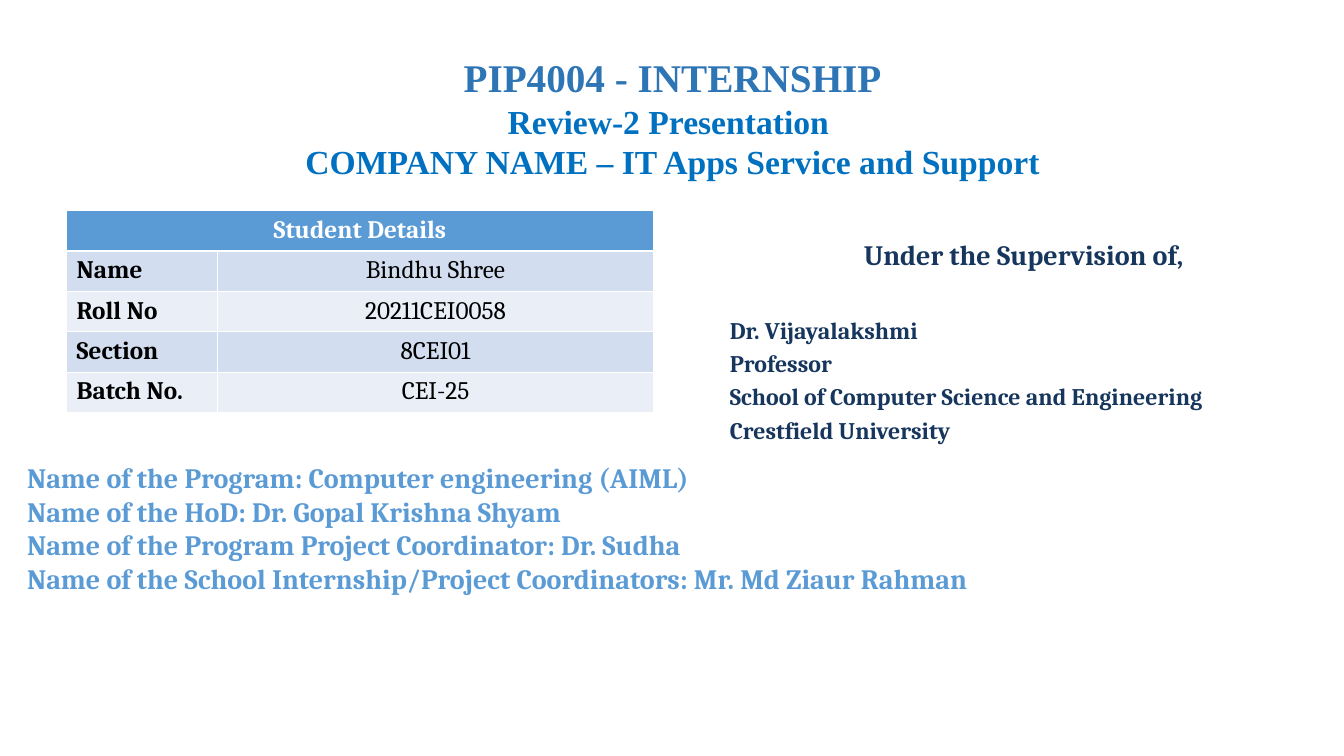
from dataclasses import dataclass

from pptx import Presentation
from pptx.dml.color import RGBColor
from pptx.enum.text import MSO_ANCHOR, MSO_AUTO_SIZE, PP_ALIGN
from pptx.shapes.autoshape import Shape
from pptx.slide import Slide
from pptx.text.text import TextFrame, _Paragraph
from pptx.util import Inches, Pt


@dataclass(frozen=True)
class Theme:
    title_font: str = "Times New Roman"
    body_font: str = "Cambria"
    title: str = "2E75B6"
    subtitle: str = "0070C0"
    navy: str = "17365D"
    accent: str = "5B9BD5"
    white: str = "FFFFFF"
    black: str = "000000"
    bands: tuple[str, str] = ("D2DEEF", "EAEFF7")
    title_size: int = 28
    subtitle_size: int = 24
    body_size: int = 20
    detail_size: int = 17
    table_size: int = 18


THEME = Theme()


@dataclass(frozen=True)
class Line:
    text: str
    size: float
    color: str
    font: str = THEME.body_font
    bold: bool = True
    align: PP_ALIGN = PP_ALIGN.LEFT
    before: float = 0


@dataclass(frozen=True)
class Area:
    left: float
    top: float
    width: float
    height: float

    def lengths(self) -> tuple[int, int, int, int]:
        return (Inches(self.left), Inches(self.top), Inches(self.width), Inches(self.height))


TITLE_AREA = Area(0.92, 0.31, 11.5, 1.71)
TABLE_AREA = Area(0.66, 2.09, 5.82, 2)
SUPERVISOR_AREA = Area(7.14, 2.31, 6.03, 2.21)
PROGRAM_AREA = Area(0.17, 4.52, 13.4, 1.71)
LABEL_WIDTH = 1.5

TITLE_LINES = [
    Line("PIP4004 - INTERNSHIP", THEME.title_size, THEME.title,
         THEME.title_font, align=PP_ALIGN.CENTER),
    *(Line(text, THEME.subtitle_size, THEME.subtitle, THEME.title_font, align=PP_ALIGN.CENTER)
      for text in ("Review-2 Presentation ",
                   "COMPANY NAME – IT Apps Service and Support")),
]
SUPERVISOR_LINES = [
    Line("Under the Supervision of,", THEME.body_size, THEME.navy, align=PP_ALIGN.CENTER),
    Line("Dr. Vijayalakshmi", THEME.detail_size, THEME.navy, before=31.4),
    *(Line(text, THEME.detail_size, THEME.navy, before=3.4)
      for text in ("Professor", "School of Computer Science and Engineering",
                   "Crestfield University")),
]
PROGRAM_LINES = [
    Line(text, THEME.body_size, THEME.accent)
    for text in ("Name of the Program: Computer engineering (AIML)",
                 "Name of the HoD: Dr. Gopal Krishna Shyam",
                 "Name of the Program Project Coordinator: Dr. Sudha",
                 "Name of the School Internship/Project Coordinators: Mr. Md Ziaur Rahman")
]
STUDENT_DETAILS = [
    ("Name", "Bindhu Shree"),
    ("Roll No", "20211CEI0058"),
    ("Section", "8CEI01"),
    ("Batch No.", "CEI-25"),
]


def write_line(para: _Paragraph, line: Line) -> None:
    para.alignment = line.align
    para.space_before = Pt(line.before)
    span = para.add_run()
    span.text = line.text
    formats = {"name": line.font, "size": Pt(line.size), "bold": line.bold}
    for attribute, value in formats.items():
        setattr(span.font, attribute, value)
    span.font.color.rgb = RGBColor.from_string(line.color)


def write_lines(frame: TextFrame, lines: list[Line]) -> None:
    for index, line in enumerate(lines):
        write_line(frame.add_paragraph() if index else frame.paragraphs[0], line)


def add_title(page: Slide) -> None:
    title: Shape = page.shapes.title
    title.left, title.top, title.width, title.height = TITLE_AREA.lengths()
    formats = {"vertical_anchor": MSO_ANCHOR.MIDDLE, "auto_size": MSO_AUTO_SIZE.NONE,
               "word_wrap": True}
    for attribute, value in formats.items():
        setattr(title.text_frame, attribute, value)
    write_lines(title.text_frame, TITLE_LINES)


def add_text(page: Slide, area: Area, lines: list[Line]) -> None:
    box = page.shapes.add_textbox(*area.lengths())
    box.text_frame.word_wrap = True
    write_lines(box.text_frame, lines)


def add_student_table(page: Slide) -> None:
    """Draw a merged heading row over banded label and value rows."""
    row_count = len(STUDENT_DETAILS) + 1
    table = page.shapes.add_table(row_count, 2, *TABLE_AREA.lengths()).table
    for column, width in zip(table.columns, (LABEL_WIDTH, TABLE_AREA.width - LABEL_WIDTH)):
        column.width = Inches(width)
    table.cell(0, 0).merge(table.cell(0, 1))

    def fill_cell(row: int, column: int, fill: str, line: Line) -> None:
        cell = table.cell(row, column)
        cell.fill.solid()
        cell.fill.fore_color.rgb = RGBColor.from_string(fill)
        write_line(cell.text_frame.paragraphs[0], line)

    size = THEME.table_size
    fill_cell(0, 0, THEME.accent,
              Line("Student Details", size, THEME.white, align=PP_ALIGN.CENTER))
    for row, (label, value) in enumerate(STUDENT_DETAILS, start=1):
        band = THEME.bands[(row - 1) % 2]
        fill_cell(row, 0, band, Line(label, size, THEME.black))
        fill_cell(row, 1, band,
                  Line(value, size, THEME.black, bold=False, align=PP_ALIGN.CENTER))


def main() -> None:
    deck = Presentation()
    deck.slide_width, deck.slide_height = Inches(13.33), Inches(7.5)
    page = deck.slides.add_slide(deck.slide_layouts.get_by_name("Title Only"))
    add_text(page, SUPERVISOR_AREA, SUPERVISOR_LINES)
    add_text(page, PROGRAM_AREA, PROGRAM_LINES)
    add_title(page)
    add_student_table(page)
    deck.save("out.pptx")


if __name__ == "__main__":
    main()
